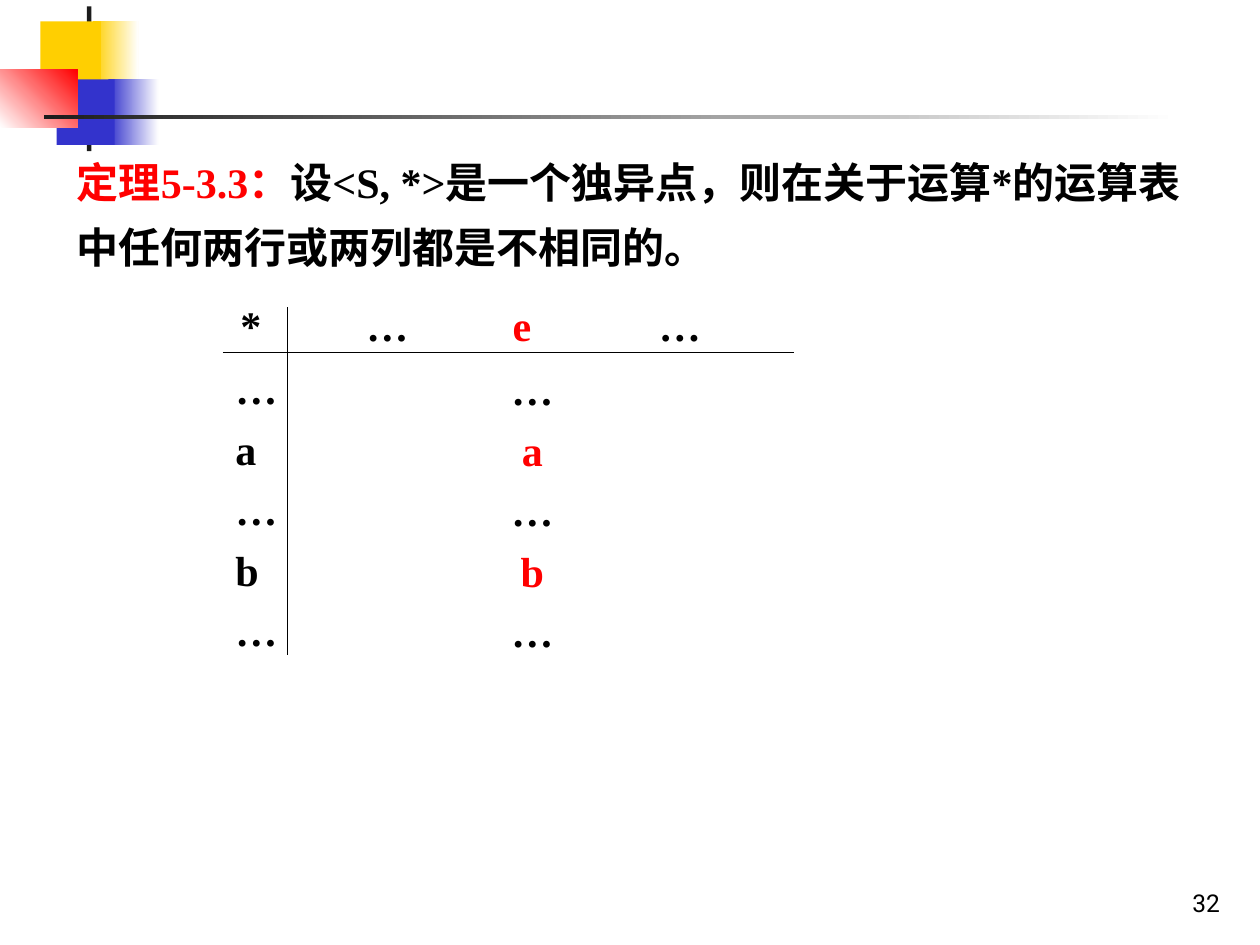
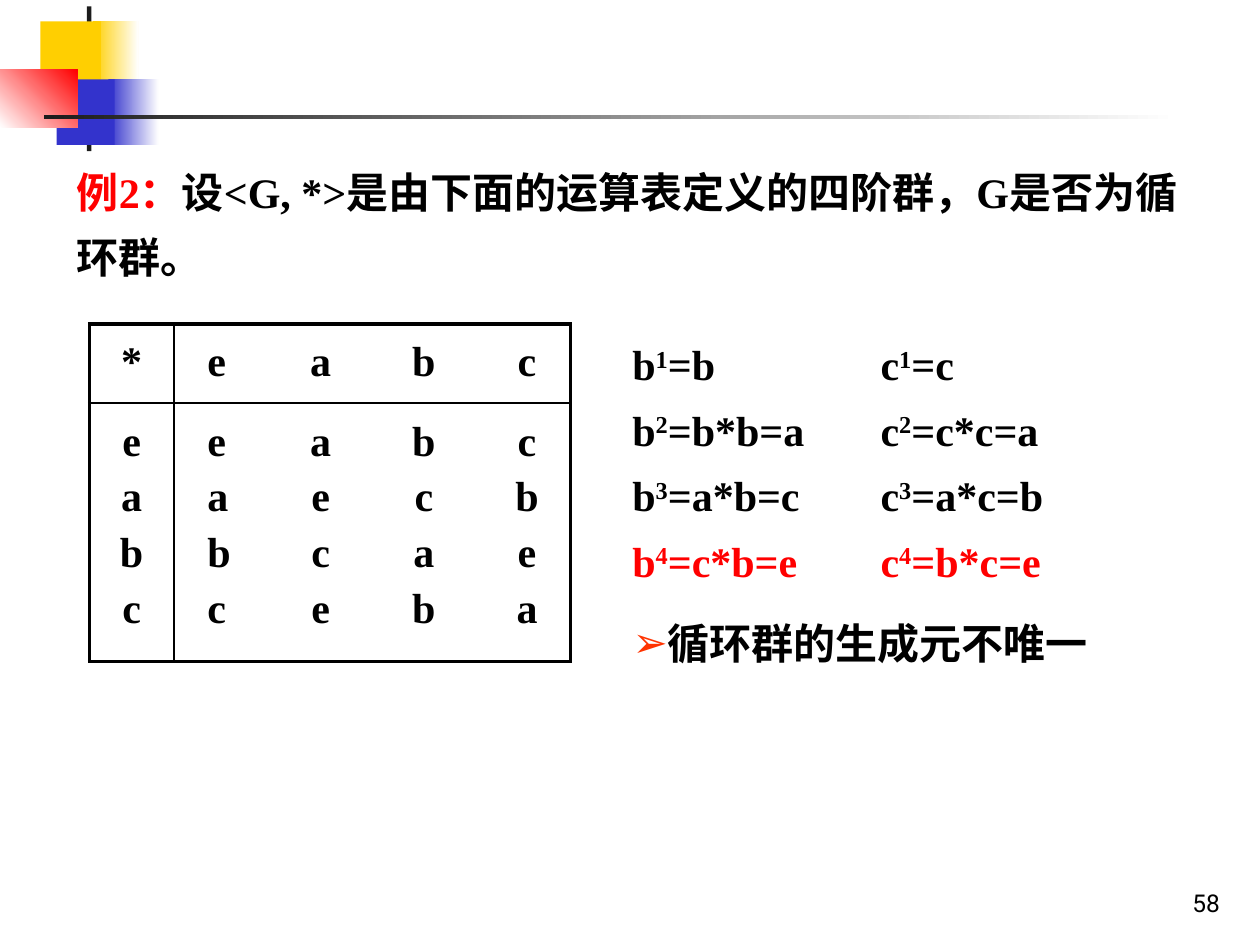
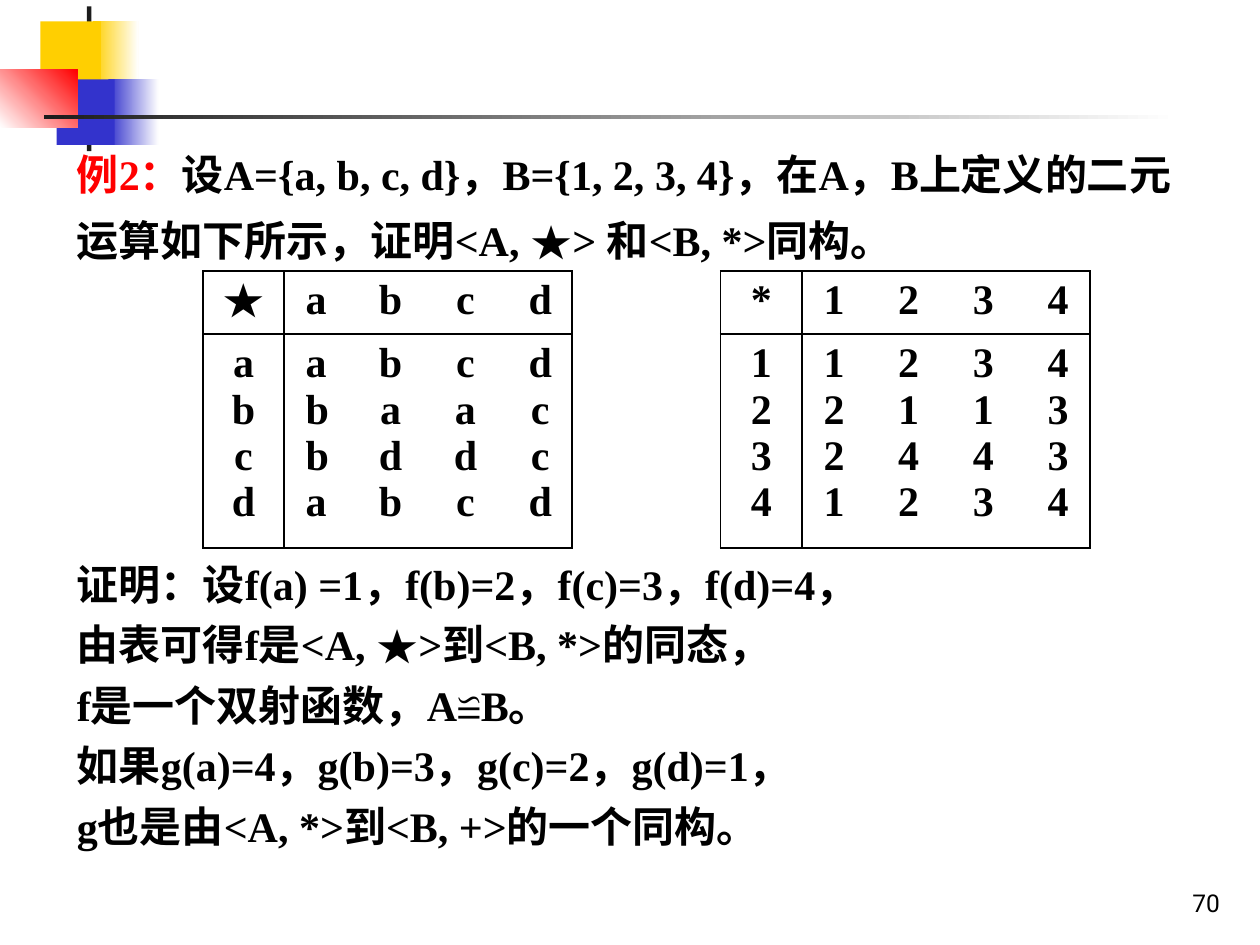
from dataclasses import dataclass
from lxml.etree import SubElement
from pptx import Presentation
from pptx.dml.color import RGBColor
from pptx.enum.shapes import MSO_CONNECTOR, MSO_SHAPE
from pptx.enum.text import MSO_ANCHOR, MSO_AUTO_SIZE, PP_ALIGN
from pptx.oxml.ns import qn
from pptx.util import Inches, Pt

WIDTH, HEIGHT = Inches(10), Inches(7.5)
COL, ROW = WIDTH / 100, HEIGHT / 75


@dataclass(frozen=True)
class Theme:
    ink: str = "000000"
    red: str = "FF0000"
    mark: str = "FF3300"
    gold: str = "FFCF01"
    blue: str = "3333CC"
    dark: str = "1C1C1C"
    white: str = "FFFFFF"
    serif: str = "Times New Roman"
    sans: str = "Arial"
    digit: str = "Roboto"
    text: int = 24
    small: int = 14
    thin: float = 0.75
    rule: float = 1
    frame: float = 2.25


@dataclass(frozen=True)
class Box:
    """A region in columns and rows of the slide grid."""
    x: float
    y: float
    w: float
    h: float

    def inner(self, x, y, w, h):
        return Box(self.x + x, self.y + y, w, h)

    def emu(self):
        return (round(self.x * COL), round(self.y * ROW),
                round(self.w * COL), round(self.h * ROW))


THEME = Theme()
NUMBER = Box(77, 68.3, 20.8, 5)


def rgb(code):
    return RGBColor.from_string(code)


def tabs(par, stops, kind):
    props = par._p.get_or_add_pPr()
    group = SubElement(props, qn("a:tabLst"))
    for stop in stops:
        SubElement(group, qn("a:tab"), pos=str(round(stop * COL)), algn=kind)


def bullet(par, sign=None, indent=0):
    props = par._p.get_or_add_pPr()
    props.set("marL", str(round(indent * COL)))
    props.set("indent", str(-round(indent * COL)))
    if sign:
        tint = SubElement(props, qn("a:buClr"))
        SubElement(tint, qn("a:srgbClr"), val=THEME.mark)
        SubElement(props, qn("a:buChar"), char=sign)
    else:
        SubElement(props, qn("a:buNone"))


def write(frame, lines, space=1.0, align=PP_ALIGN.LEFT, face=THEME.serif,
          size=THEME.text, bold=True, setup=None):
    """Fill a frame; a line is a string or a list of (text, colour, raised)."""
    frame.word_wrap = True
    for i, line in enumerate(lines):
        par = frame.paragraphs[0] if i == 0 else frame.add_paragraph()
        par.alignment, par.line_spacing = align, space
        par.space_before = Pt(0)
        if setup:
            setup(par)
        font = par.font
        font.name, font.size, font.bold = face, Pt(size), bold
        font.color.rgb = rgb(THEME.ink)
        if isinstance(line, str):
            par.add_run().text = line
            continue
        for text, tint, raised in line:
            run = par.add_run()
            run.text = text
            run.font.color.rgb = rgb(tint)
            if raised:
                run._r.get_or_add_rPr().set("baseline", "30000")


def label(slide, box, lines, anchor=MSO_ANCHOR.TOP, **style):
    frame = slide.shapes.add_textbox(*box.emu()).text_frame
    frame.vertical_anchor = anchor
    write(frame, lines, **style)


def fill_holder(holder, box, lines, **style):
    holder.left, holder.top, holder.width, holder.height = box.emu()
    frame = holder.text_frame
    frame.auto_size = MSO_AUTO_SIZE.NONE
    frame.vertical_anchor = MSO_ANCHOR.TOP
    write(frame, lines, **style)


def block(group, box, *tints, angle=0):
    shape = group.shapes.add_shape(MSO_SHAPE.RECTANGLE, *box.emu())
    shape.shadow.inherit = False
    shape.line.fill.background()
    if len(tints) == 1:
        shape.fill.solid()
        shape.fill.fore_color.rgb = rgb(tints[0])
        return
    shape.fill.gradient()
    shape.fill.gradient_angle = angle
    for stop, tint in zip(shape.fill.gradient_stops, tints):
        stop.color.rgb = rgb(tint)


def adorn(deck, slide):
    """Draw the corner blocks and rule, then move them to the master."""
    group = slide.shapes.add_group_shape()
    t = THEME
    block(group, Box(7.4, 1.7, 3.6, 5.2), t.gold, t.white)
    block(group, Box(8.6, 6.3, 4, 5.2), t.blue, t.white)
    block(group, Box(6.9, 0.5, 0.35, 11.5), t.dark)
    block(group, Box(3.2, 1.7, 4.8, 5.2), t.gold)
    block(group, Box(4.5, 6.3, 4.6, 5.2), t.blue)
    block(group, Box(0, 5.5, 6.15, 4.6), t.white, t.red, angle=45)
    block(group, Box(3.5, 9.15, 90, 0.3), t.dark, t.white)
    deck.slide_master.shapes._spTree.append(group._element)


def start(deck, layout, number, top, head, rest):
    """Add a slide with its number and its statement as the title."""
    slide = deck.slides.add_slide(deck.slide_layouts.get_by_name(layout))
    fill_holder(slide.shapes.title, Box(5.1, top, 90.5, 11.4),
                [[(head, THEME.red, False), (rest, THEME.ink, False)]],
                space=1.3)
    label(slide, NUMBER, [str(number)], anchor=MSO_ANCHOR.BOTTOM,
          align=PP_ALIGN.RIGHT, face=THEME.digit, size=THEME.small, bold=False)
    return slide


def stroke(slide, start, end):
    ends = [round(v * unit) for point in (start, end)
            for v, unit in zip(point, (COL, ROW))]
    line = slide.shapes.add_connector(MSO_CONNECTOR.STRAIGHT, *ends)
    line.line.color.rgb = rgb(THEME.ink)
    line.line.width = Pt(THEME.thin)
    SubElement(line._element.spPr, qn("a:effectLst"))


def sketch(slide, box):
    """Draw the open operation table around the unit column."""
    red, ink = THEME.red, THEME.ink
    label(slide, box.inner(0.4, 0, 55.1, 5.8),
          [[("*\t…\t", ink, False), ("e", red, False), ("\t…", ink, False)]],
          space=1.2,
          setup=lambda par: tabs(par, [10 + 11.6 * k for k in range(3)], "l"))
    marks = ["…", "a", "…", "b", "…"]
    label(slide, box.inner(0, 5, 6.7, 25), marks, space=1.2)
    label(slide, box.inner(21.2, 5.1, 6.7, 25),
          [[(mark, ink if mark == "…" else red, False)] for mark in marks],
          space=1.2, align=PP_ALIGN.CENTER)
    stroke(slide, (box.x, box.y + 5.5), (box.x + box.w, box.y + 5.5))
    stroke(slide, (box.x + 5.1, box.y + 1.9), (box.x + 5.1, box.y + box.h))


def edge(cell, widths):
    props = cell._tc.get_or_add_tcPr()
    for side, width in zip("LRTB", widths):
        line = SubElement(props, qn("a:ln" + side), w=str(Pt(width)))
        paint = SubElement(line, qn("a:solidFill"))
        SubElement(paint, qn("a:srgbClr"), val=THEME.ink)
    cell.fill.background()


def grid(slide, box, sign, names, rows, stub, head, frame=THEME.rule, space=1.0):
    """Set an operation table: sign and names above, names at the left."""
    table = slide.shapes.add_table(2, 2, *box.emu()).table
    table.first_row = table.horz_banding = False
    wide = box.w - stub
    for i, (width, height) in enumerate([(stub, head), (wide, box.h - head)]):
        table.columns[i].width = round(width * COL)
        table.rows[i].height = round(height * ROW)
    pitch, half = 0.26 * wide, 0.8
    stops = [half + pitch * k for k in range(1, len(names))]
    for r, (side, body) in enumerate([([sign], [names]), (list(names), rows)]):
        left, right = table.cell(r, 0), table.cell(r, 1)
        upright = (THEME.rule, frame)[::1 if r else -1]
        edge(left, (frame, THEME.rule, *upright))
        edge(right, (THEME.rule, frame, *upright))
        write(left.text_frame, side, space=space, align=PP_ALIGN.CENTER)
        right.margin_left = round((0.11 * wide - half) * COL)
        right.margin_right = 0
        write(right.text_frame, ["\t".join(row) for row in body], space=space,
              setup=lambda par: tabs(par, stops, "ctr"))


def powers(slide, box, base, values):
    """List the powers of an element, the last one in red."""
    lines = []
    for n, value in enumerate(values, 1):
        tint = THEME.red if n == len(values) else THEME.ink
        lines.append([(base, tint, False), (str(n), tint, True),
                      ("=" + value, tint, False)])
    label(slide, box, lines, space=1.3)


def theorem(deck):
    slide = start(deck, "Title Only", 32, 10.7, "定理5-3.3：",
                  "设<S, *>是一个独异点，则在关于运算*的运算表中任何两行或两列都是不相同的。")
    adorn(deck, slide)
    sketch(slide, Box(17.7, 22.5, 45.3, 29.5))


def cyclic(deck):
    slide = start(deck, "Title and Content", 58, 11.5, "例2：",
                  "设<G, *>是由下面的运算表定义的四阶群，G是否为循环群。")
    grid(slide, Box(7.1, 25.7, 38.2, 26.8), "*", "eabc",
         ["eabc", "aecb", "bcae", "ceba"], stub=6.7, head=6.3,
         frame=THEME.frame, space=1.2)
    right = Box(49.2, 25.2, 40.9, 28.3)
    powers(slide, right.inner(0, 0, 17.3, 21.8), "b",
           ["b", "b*b=a", "a*b=c", "c*b=e"])
    powers(slide, right.inner(19.7, 0, 17.3, 21.8), "c",
           ["c", "c*c=a", "a*c=b", "b*c=e"])
    fill_holder(slide.placeholders[1], right.inner(0, 23.3, 40.9, 5),
                ["循环群的生成元不唯一"], face=THEME.sans,
                setup=lambda par: bullet(par, "➢", 2.8))


def mapping(deck):
    slide = start(deck, "Title and Content", 70, 10.1, "例2：",
                  "设A={a, b, c, d}，B={1, 2, 3, 4}，在A，B上定义的"
                  "二元运算如下所示，证明<A, ★> 和<B, *>同构。")
    size = dict(stub=6.45, head=5)
    grid(slide, Box(16.1, 21.5, 29.3, 22), "★", "abcd",
         ["abcd", "baac", "bddc", "abcd"], **size)
    grid(slide, Box(57.2, 21.5, 29.3, 22), "*", "1234",
         ["1234", "2113", "2443", "1234"], **size)
    fill_holder(slide.placeholders[1], Box(5.1, 43, 90.5, 25), [
        "证明：设f(a) =1，f(b)=2，f(c)=3，f(d)=4，",
        "由表可得f是<A, ★>到<B, *>的同态，",
        "f是一个双射函数，A≌B。",
        "如果g(a)=4，g(b)=3，g(c)=2，g(d)=1，",
        "g也是由<A, *>到<B, +>的一个同构。",
    ], space=1.2, setup=bullet)


def main():
    deck = Presentation()
    deck.slide_width, deck.slide_height = WIDTH, HEIGHT
    for build in (theorem, cyclic, mapping):
        build(deck)
    deck.save("out.pptx")


if __name__ == "__main__":
    main()
